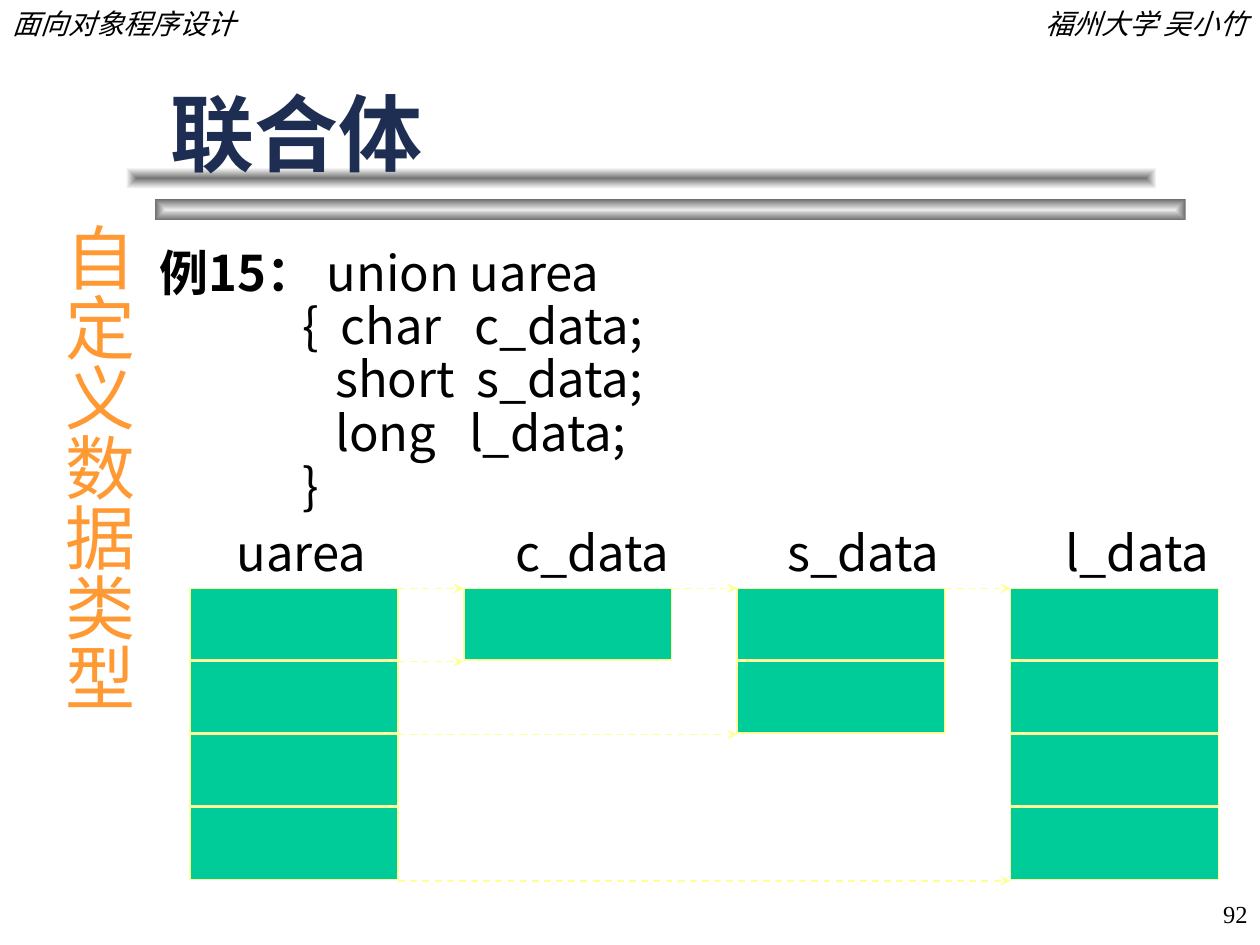
from lxml.etree import SubElement
from pptx import Presentation
from pptx.dml.color import RGBColor
from pptx.enum.dml import MSO_LINE_DASH_STYLE as Dash
from pptx.enum.shapes import MSO_CONNECTOR as Connector, MSO_SHAPE as Shape
from pptx.enum.text import MSO_ANCHOR as Anchor, PP_ALIGN as Align
from pptx.oxml import parse_xml
from pptx.oxml.ns import nsdecls, qn
from pptx.util import Inches, Pt

COLORS = {"text": "000000", "title": "1E2E53", "side": "FF9933",
          "cell": "00CC99", "edge": "FFFF99"}
SANS, SERIF, TITLE_FONT = "Noto Sans CJK SC", "Times New Roman", "Arial"
EAST_ASIAN = {SANS: SANS, SERIF: SANS, TITLE_FONT: TITLE_FONT}

CELL_W, CELL_H = 1.65, 0.57
GRID_X, GRID_Y = 1.51, 4.67
STEP_X, STEP_Y = 2.17, 0.58
# member name, number of cells, label left
MEMBERS = [("uarea", 4, 1.78), ("c_data", 1, 3.99),
           ("s_data", 2, 6.15), ("l_data", 4, 8.36)]
# row boundary, column the arrow leaves, column it reaches
ARROWS = [(0, 0, 1), (0, 1, 2), (0, 2, 3), (1, 0, 1), (2, 0, 2), (4, 0, 3)]
CODE = ["{  char   c_data;", "   short  s_data;", "   long   l_data;", "}"]


def rgb(name):
    return RGBColor.from_string(COLORS[name])


def add_span(para, text, size, face=SANS, color="text", **style):
    span = para.add_run()
    span.text = text
    font = span.font
    for key, value in {"size": Pt(size), "name": face, **style}.items():
        setattr(font, key, value)
    font.color.rgb = rgb(color)
    SubElement(font._element, qn("a:ea"), typeface=EAST_ASIAN[face])


def set_indent(para, left, first):
    props = para._p.get_or_add_pPr()
    props.set("marL", str(Inches(left)))
    props.set("indent", str(Inches(first)))


def add_box(page, left, top, width, height):
    box = page.shapes.add_textbox(*map(Inches, (left, top, width, height)))
    box.text_frame.word_wrap = True
    return box.text_frame


def add_line_of_text(page, place, text, size, align=Align.LEFT, **style):
    frame = add_box(page, *place)
    para = frame.paragraphs[0]
    para.alignment = align
    add_span(para, text, size, **style)
    return frame


def add_rect(page, left, top, width, height):
    rect = page.shapes.add_shape(
        Shape.RECTANGLE, *map(Inches, (left, top, width, height)))
    rect.shadow.inherit = False
    return rect


def add_bar(page, left, top, center, rim):
    """Add a bar shaded from its center to its rim."""
    bar = add_rect(page, left, top, 8.18, 0.17)
    bar.line.fill.background()
    bar.fill.background()
    props = bar._element.spPr
    props.replace(props.find(qn("a:noFill")), parse_xml(
        f'<a:gradFill {nsdecls("a")} rotWithShape="1"><a:gsLst>'
        f'<a:gs pos="0"><a:srgbClr val="{center}"/></a:gs>'
        f'<a:gs pos="100000"><a:srgbClr val="{rim}"/></a:gs></a:gsLst>'
        '<a:path path="rect"><a:fillToRect l="50000" t="50000" r="50000" b="50000"/>'
        '</a:path></a:gradFill>'))


def add_cell(page, column, row):
    cell = add_rect(page, GRID_X + column * STEP_X, GRID_Y + row * STEP_Y,
                    CELL_W, CELL_H)
    cell.fill.solid()
    cell.fill.fore_color.rgb = rgb("cell")
    cell.line.color.rgb = rgb("edge")
    cell.line.width = Pt(1)


def add_arrow(page, row, start, end):
    y = Inches(GRID_Y + row * STEP_Y)
    arrow = page.shapes.add_connector(
        Connector.STRAIGHT, Inches(GRID_X + start * STEP_X + CELL_W), y,
        Inches(GRID_X + end * STEP_X), y)
    arrow.line.color.rgb = rgb("edge")
    arrow.line.width = Pt(1)
    arrow.line.dash_style = Dash.DASH
    SubElement(arrow.line._get_or_add_ln(), qn("a:tailEnd"), type="stealth")
    SubElement(arrow._element.spPr, qn("a:effectLst"))


def add_title(page, text):
    title = page.shapes.title
    place = {"left": 1.25, "top": 0.25, "width": 8, "height": 1.25}
    for key, value in place.items():
        setattr(title, key, Inches(value))
    frame = title.text_frame
    frame.vertical_anchor = Anchor.BOTTOM
    para = frame.paragraphs[0]
    para.alignment = Align.LEFT
    add_span(para, text, 48, TITLE_FONT, "title", bold=True)
    page.shapes._spTree.append(title._element)  # in front of the bars


def add_side_heading(page, text):
    """Add a heading that runs down the left side."""
    frame = add_line_of_text(page, (0.3, 1.67, 0.86, 4.2), text, 40,
                             Align.CENTER, color="side")
    frame._txBody.bodyPr.set("vert", "eaVert")
    insets = {"left": 0.05, "right": 0.05, "top": 0.1, "bottom": 0.1}
    for edge, inset in insets.items():
        setattr(frame, f"margin_{edge}", Inches(inset))


def add_example(page):
    frame = add_box(page, 1.17, 2, 8.08, 2.17)
    para = frame.paragraphs[0]
    para.line_spacing = 0.7
    set_indent(para, 0.38, -0.38)
    add_span(para, "例15： ", 28, bold=True)
    add_span(para, "union uarea", 28)
    for line in CODE:
        para = frame.add_paragraph()
        para.line_spacing = 0.7
        para.space_before = Pt(7)
        set_indent(para, 1.44, -0.31)
        add_span(para, line, 28)


def add_memory_diagram(page):
    for column, (name, cells, left) in enumerate(MEMBERS):
        for row in range(cells):
            add_cell(page, column, row)
    for arrow in ARROWS:
        add_arrow(page, *arrow)
    for name, cells, left in MEMBERS:
        add_line_of_text(page, (left, 4.1, 1.6, 0.57), name, 28)


def main():
    deck = Presentation()
    deck.slide_width, deck.slide_height = Inches(10), Inches(7.5)
    page = deck.slides.add_slide(deck.slide_layouts[5])

    add_bar(page, 1.23, 1.58, "EAEAEA", "6C6C6C")
    add_bar(page, 1, 1.33, "767676", "FFFFFF")
    add_line_of_text(page, (0, 0, 3.08, 0.37), "面向对象程序设计", 16,
                     face=SERIF, italic=True)
    add_line_of_text(page, (6.92, 0, 3.08, 0.37), "福州大学 吴小竹", 16,
                     Align.RIGHT, face=SERIF, italic=True)
    number = add_line_of_text(page, (7.92, 7, 2.08, 0.5), "92", 14,
                              Align.RIGHT, face=SERIF)
    number.vertical_anchor = Anchor.MIDDLE

    add_example(page)
    add_memory_diagram(page)
    add_title(page, "联合体")
    add_side_heading(page, "自定义数据类型")
    deck.save("out.pptx")


if __name__ == "__main__":
    main()
